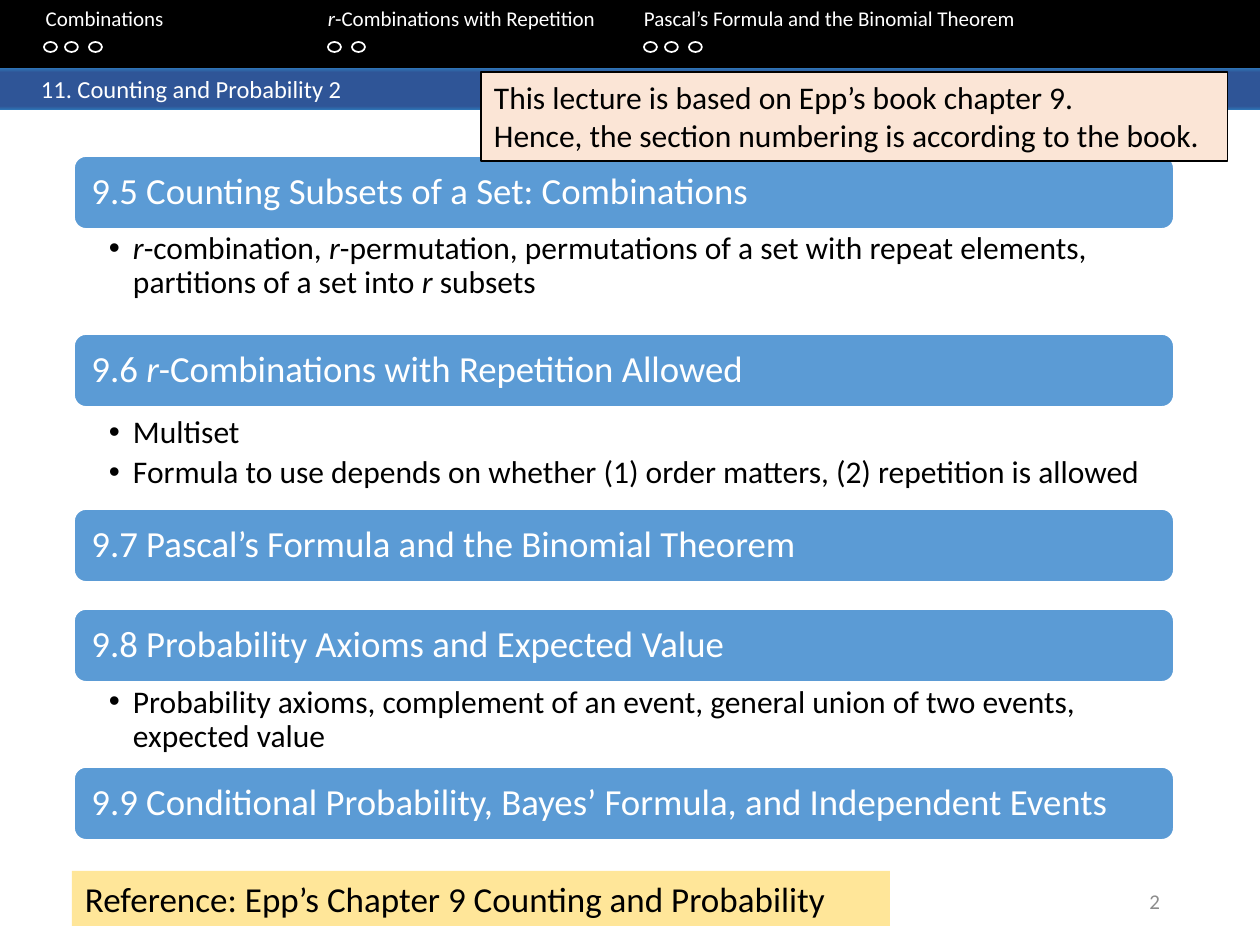
"""Build the chapter outline slide of a lecture on counting and probability."""
from copy import deepcopy

from lxml.etree import SubElement
from pptx import Presentation
from pptx.dml.color import RGBColor
from pptx.enum.shapes import MSO_SHAPE
from pptx.enum.text import MSO_ANCHOR, PP_ALIGN
from pptx.oxml.ns import qn
from pptx.util import Pt

PX = 7257
HEX = RGBColor.from_string
WHITE, BLACK, BLUE = "FFFFFF", "000000", "5B9BD5"

deck = Presentation()
deck.slide_width, deck.slide_height = 1260 * PX, 945 * PX
slide = deck.slides.add_slide(deck.slide_layouts[6])


def draw(kind, place, fill=None, line=None, width=1):
    spot = [n * PX for n in place]
    if kind is None:
        return slide.shapes.add_textbox(*spot)
    shape = slide.shapes.add_shape(kind, *spot)
    shape.shadow.inherit = False
    if fill:
        shape.fill.solid()
        shape.fill.fore_color.rgb = HEX(fill)
    else:
        shape.fill.background()
    if line:
        shape.line.color.rgb = HEX(line)
        shape.line.width = Pt(width)
    else:
        shape.line.fill.background()
    return shape


def write(shape, lines, size, color, inset=(13, 6, 13, 6), anchor=MSO_ANCHOR.TOP,
          align=PP_ALIGN.LEFT, space=1, bullet=False, tabs=()):
    frame = shape.text_frame
    frame.word_wrap, frame.vertical_anchor = True, anchor
    (frame.margin_left, frame.margin_top,
     frame.margin_right, frame.margin_bottom) = [n * PX for n in inset]
    for i, line in enumerate(lines):
        para = frame.paragraphs[0] if i == 0 else frame.add_paragraph()
        para.alignment, para.line_spacing = align, space
        props = para._p.get_or_add_pPr()
        if bullet:
            para.level, para.space_after = 1, Pt(size * 0.2)
            props.set("marL", str(24 * PX))
            props.set("indent", str(-24 * PX))
            SubElement(props, qn("a:buFont"), typeface="Arial")
            SubElement(props, qn("a:buChar"), char="•")
        if tabs:
            stops = SubElement(props, qn("a:tabLst"))
            for tab in tabs:
                SubElement(stops, qn("a:tab"), pos=str(tab * PX), algn="l")
        for j, part in enumerate(line.split("*")):
            if part:
                run = para.add_run()
                run.text = part
                font = run.font
                font.name, font.size, font.italic = "Calibri", Pt(size), j % 2 == 1
                font.color.rgb = HEX(color)


for top, high in [(67, 38), (68, 42)]:
    bar = draw(MSO_SHAPE.RECTANGLE, (0, top, 1260, high))
    bar.fill.gradient()
    bar.fill.gradient_angle = 270
    stops = bar._element.spPr.find(qn("a:gradFill")).find(qn("a:gsLst"))
    for stop in list(stops):
        stops.append(deepcopy(stop))
    shades = [(0, "2E75B6"), (0.11, "2F5597"), (0.91, "2F5597"), (1, "2E75B6")]
    for stop, (pos, shade) in zip(bar.fill.gradient_stops, shades):
        stop.position, stop.color.rgb = pos, HEX(shade)
write(bar, ["\t11. Counting and Probability 2"], 14, WHITE, tabs=[28])

page = draw(None, (890, 876, 283, 50))
write(page, ["2"], 12, "8C8C8C", anchor=MSO_ANCHOR.MIDDLE, align=PP_ALIGN.RIGHT)

parts = [
    (156, "9.5 Counting Subsets of a Set: Combinations", 228, 72,
     ["*r*-combination, *r*-permutation, permutations of a set with repeat elements, "
      "partitions of a set into *r* subsets"]),
    (334, "9.6 *r*-Combinations with Repetition Allowed", 412, 84,
     ["Multiset",
      "Formula to use depends on whether (1) order matters, (2) repetition is allowed"]),
    (509, "9.7 Pascal’s Formula and the Binomial Theorem", 0, 0, []),
    (609, "9.8 Probability Axioms and Expected Value", 682, 77,
     ["Probability axioms, complement of an event, general union of two events, "
      "expected value"]),
    (767, "9.9 Conditional Probability, Bayes’ Formula, and Independent Events", 0, 0, []),
]
for top, title, low, high, notes in parts:
    head = draw(MSO_SHAPE.ROUNDED_RECTANGLE, (74, top, 1100, 73), BLUE, WHITE)
    write(head, [title], 21, WHITE, (14, 11, 14, 11), MSO_ANCHOR.MIDDLE, space=0.9)
    if notes:
        body = draw(None, (74, low, 1100, high))
        write(body, notes, 18, BLACK, (35, 4, 18, 4), space=0.9, bullet=True)

draw(MSO_SHAPE.RECTANGLE, (0, -2, 1260, 70), BLACK)
menu = draw(None, (0, 0, 1260, 63))
write(menu, ["\t Combinations\t\t*r*-Combinations with Repetition \t"
             "Pascal’s Formula and the Binomial Theorem"],
      12, WHITE, tabs=[28, 213, 315, 631])
for left, steps in [(44, (0, 21, 45)), (644, (0, 21, 45)), (328, (0, 24))]:
    for step in steps:
        draw(MSO_SHAPE.OVAL, (left + step, 42, 13, 10), line=WHITE)

source = draw(MSO_SHAPE.RECTANGLE, (72, 871, 818, 55), "FFE699")
write(source, ["Reference: Epp’s Chapter 9 Counting and Probability"], 20, BLACK)
note = draw(MSO_SHAPE.RECTANGLE, (481, 72, 747, 89), "FBE5D6", BLACK, 0.75)
write(note, ["This lecture is based on Epp’s book chapter 9.",
             "Hence, the section numbering is according to the book."], 18, BLACK)

deck.save("out.pptx")
